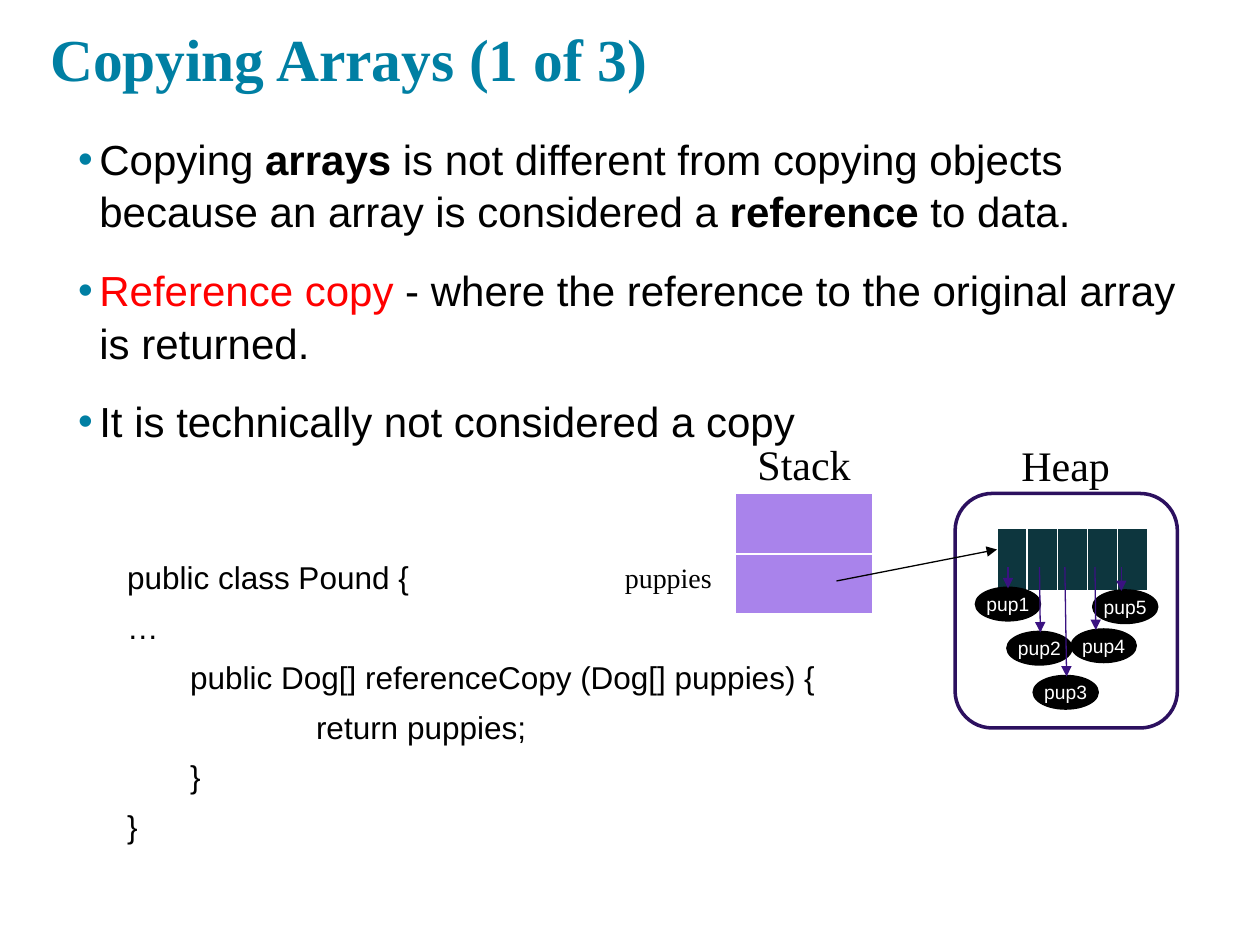
from dataclasses import dataclass
from lxml.etree import SubElement
from pptx import Presentation
from pptx.dml.color import RGBColor
from pptx.enum.shapes import MSO_CONNECTOR, MSO_SHAPE
from pptx.enum.text import MSO_ANCHOR, PP_ALIGN
from pptx.oxml.ns import qn
from pptx.util import Pt


@dataclass(frozen=True)
class Theme:
    sans: str = "Arial"
    serif: str = "Times New Roman"
    ink: str = "000000"
    paper: str = "FFFFFF"
    teal: str = "007FA3"
    term: str = "FF0000"
    stack: str = "A983EB"
    array: str = "0D363E"
    heap: str = "2C105F"
    reference: str = "3A1281"
    title: int = 34
    body: int = 24
    code: int = 18
    label: int = 16
    object: int = 11
    leading: float = 1.04


def rgb(value):
    return RGBColor.from_string(value)


class SlideBuilder:
    def __init__(self, slide, theme):
        self.slide = slide
        self.theme = theme

    def style(self, run, size, face, color, bold=False):
        run.font.size = Pt(size)
        run.font.name = face
        run.font.color.rgb = rgb(color)
        run.font.bold = bold

    def frame(self, left, top, width, height, inset=7.2):
        box = self.slide.shapes.add_textbox(Pt(left), Pt(top), Pt(width), Pt(height))
        text = box.text_frame
        text.word_wrap = True
        text.margin_left = text.margin_right = Pt(inset)
        text.margin_top = text.margin_bottom = Pt(min(inset, 7.2))
        return text

    def paragraph(self, text, index, margin, hanging, before):
        para = text.paragraphs[0] if index == 0 else text.add_paragraph()
        para.line_spacing = self.theme.leading
        para.space_before = Pt(before if index else 0)
        props = para._p.get_or_add_pPr()
        props.set("marL", str(Pt(margin)))
        props.set("indent", str(Pt(-hanging)))
        return para

    def title(self, words, *place):
        text = self.frame(*place)
        text.vertical_anchor = MSO_ANCHOR.BOTTOM
        text.text = words
        self.style(text.paragraphs[0].runs[0], self.theme.title,
                   self.theme.serif, self.theme.teal, True)

    def bullets(self, points, *place):
        text = self.frame(*place)
        for index, parts in enumerate(points):
            para = self.paragraph(text, index, 20.2, 12.2, 15)
            props = para._p.get_or_add_pPr()
            SubElement(SubElement(props, qn("a:buClr")), qn("a:srgbClr"), val=self.theme.teal)
            SubElement(props, qn("a:buFont"), typeface=self.theme.sans)
            SubElement(props, qn("a:buChar"), char="•")
            for words, color, bold in parts:
                run = para.add_run()
                run.text = words
                self.style(run, self.theme.body, self.theme.sans, color, bold)

    def code(self, lines, *place):
        text = self.frame(*place)
        for index, (margin, words) in enumerate(lines):
            para = self.paragraph(text, index, margin, 0, 6)
            para.text = words
            self.style(para.runs[0], self.theme.code, self.theme.sans, self.theme.ink)

    def label(self, words, size, *place, align=PP_ALIGN.CENTER):
        text = self.frame(*place)
        text.margin_top = text.margin_bottom = Pt(3.6)
        text.text = words
        text.paragraphs[0].alignment = align
        self.style(text.paragraphs[0].runs[0], size, self.theme.serif, self.theme.ink)

    def cells(self, rows, columns, fill, left, top, width, height):
        table = self.slide.shapes.add_table(
            rows, columns, Pt(left), Pt(top), Pt(width), Pt(height)).table
        table.first_row = table.horz_banding = False
        for cell in table.iter_cells():
            cell.fill.solid()
            cell.fill.fore_color.rgb = rgb(fill)

    def shape(self, kind, line, left, top, width, height, fill=None):
        shape = self.slide.shapes.add_shape(kind, Pt(left), Pt(top), Pt(width), Pt(height))
        shape.shadow.inherit = False
        shape.line.color.rgb = rgb(line)
        shape.line.width = Pt(2)
        if fill:
            shape.fill.solid()
            shape.fill.fore_color.rgb = rgb(fill)
        else:
            shape.fill.background()
        return shape

    def heap_object(self, words, *place):
        oval = self.shape(MSO_SHAPE.OVAL, self.theme.ink, *place, fill=self.theme.ink)
        text = oval.text_frame
        text.margin_left = text.margin_right = text.margin_top = text.margin_bottom = 0
        text.vertical_anchor = MSO_ANCHOR.MIDDLE
        text.word_wrap = False
        text.text = words
        text.paragraphs[0].alignment = PP_ALIGN.CENTER
        self.style(text.paragraphs[0].runs[0], self.theme.object,
                   self.theme.sans, self.theme.paper)

    def arrow(self, color, *ends):
        arrow = self.slide.shapes.add_connector(
            MSO_CONNECTOR.STRAIGHT, *(Pt(end) for end in ends))
        arrow.line.color.rgb = rgb(color)
        arrow.line.width = Pt(0.75)
        SubElement(arrow.line._get_or_add_ln(), qn("a:tailEnd"), type="triangle")
        SubElement(arrow._element.spPr, qn("a:effectLst"))


def main():
    deck = Presentation()
    deck.slide_width, deck.slide_height = Pt(720), Pt(540)
    theme = Theme()
    page = SlideBuilder(deck.slides.add_slide(deck.slide_layouts[6]), theme)

    # Title and explanation
    page.title("Copying Arrays (1 of 3)", 21.6, 15, 648, 45.5)
    page.bullets([
        [("Copying ", theme.ink, False), ("arrays", theme.ink, True),
         (" is not different from copying objects because an array is considered a ",
          theme.ink, False),
         ("reference", theme.ink, True), (" to data.", theme.ink, False)],
        [("Reference copy ", theme.term, False),
         ("- where the reference to the original array is returned.", theme.ink, False)],
        [("It is technically not considered a copy", theme.ink, False)],
    ], 29.5, 68, 672.5, 190)

    # Code, indented by level
    page.code([
        (36, "public class Pound {"),
        (36, "…"),
        (72, "public Dog[] referenceCopy (Dog[] puppies) {"),
        (144, "return puppies;"),
        (72, "}"),
        (36, "}"),
    ], 29.5, 311, 500, 180)

    # Stack
    page.cells(2, 1, theme.stack, 420, 282, 79, 69)
    page.label("Stack", theme.body, 377.5, 247, 164, 36.5)
    page.label("puppies", theme.label, 350, 316.8, 68, 26.6, align=PP_ALIGN.LEFT)

    # Heap and its array
    page.shape(MSO_SHAPE.ROUNDED_RECTANGLE, theme.heap, 545.8, 282, 127, 134)
    page.label("Heap", theme.body, 527, 247.7, 164, 36.5)
    page.cells(1, 5, theme.array, 569.7, 302, 79, 35.3)
    page.arrow(theme.ink, 478, 332, 569.7, 314)

    # Objects: left, top, then the arrow's start x and tip x
    puppies = [
        (558, 336.2, 576, 576),
        (576, 361.4, 594, 594.5),
        (591, 386.6, 608.5, 609.5),
        (612.7, 360, 625.7, 626.2),
        (625, 337.7, 640.8, 640.8),
    ]
    for number, (left, top, _, _) in enumerate(puppies, 1):
        page.heap_object(f"pup{number}", left, top, 36, 18)
    for _, top, start, tip in puppies:
        page.arrow(theme.reference, start, 324, tip, top)

    deck.save("out.pptx")


if __name__ == "__main__":
    main()
